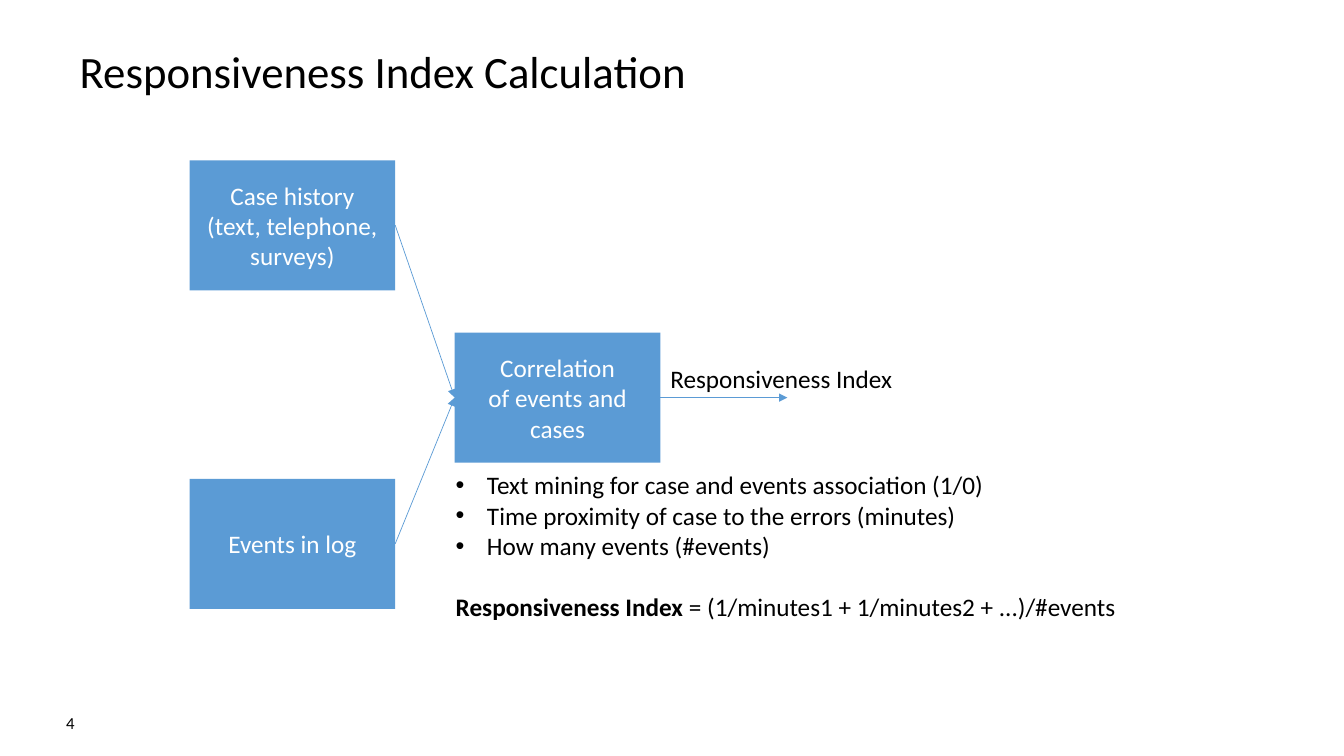
from lxml import etree
from pptx import Presentation
from pptx.dml.color import RGBColor
from pptx.enum.shapes import MSO_CONNECTOR, MSO_SHAPE
from pptx.enum.text import MSO_ANCHOR, MSO_AUTO_SIZE, PP_ALIGN
from pptx.oxml.ns import qn
from pptx.util import Inches, Pt

BLUE = RGBColor(0x5B, 0x9B, 0xD5)
BLACK = RGBColor(0, 0, 0)
WHITE = RGBColor(0xFF, 0xFF, 0xFF)
LEFT, CENTER, RIGHT = PP_ALIGN.LEFT, PP_ALIGN.CENTER, PP_ALIGN.RIGHT
TOP, MIDDLE = MSO_ANCHOR.TOP, MSO_ANCHOR.MIDDLE
NO_FIT = MSO_AUTO_SIZE.NONE
STRAIGHT, RECTANGLE = MSO_CONNECTOR.STRAIGHT, MSO_SHAPE.RECTANGLE
RIGHT_SITE, LEFT_SITE = 3, 1

NODE_SIZE = (2.04, 1.29)
NO_MARGINS = dict.fromkeys(
    ("margin_left", "margin_top", "margin_right", "margin_bottom"), 0)
CRITERIA = ("Text mining for case and events association (1/0)",
            "Time proximity of case to the errors (minutes)",
            "How many events (#events)")
FORMULA = (("Responsiveness Index", True),
           (" = (1/minutes1 + 1/minutes2 + ...)/#events", False))


def apply_format(target, values):
    """Set each named attribute on the target."""
    for name, value in values.items():
        setattr(target, name, value)


def place(shape, box):
    """Move a shape to a box of left, top, width and height in inches."""
    names = ("left", "top", "width", "height")
    apply_format(shape, dict(zip(names, map(Inches, box))))


def write(frame, paragraphs, size=18, color=BLACK, para_format=None, **frame_format):
    """Fill a frame with paragraphs, each a list of (text, bold) spans."""
    apply_format(frame, {"word_wrap": True, "auto_size": NO_FIT,
                         "vertical_anchor": TOP, **frame_format})
    for index, spans in enumerate(paragraphs):
        para = frame.paragraphs[0] if index == 0 else frame.add_paragraph()
        apply_format(para, {"alignment": LEFT, "space_before": Pt(0),
                            **(para_format or {})})
        for text, bold in spans:
            span = para.add_run()
            span.text = text
            apply_format(span.font, {"name": "Calibri", "size": Pt(size), "bold": bold})
            span.font.color.rgb = color


def set_bullet(para, indent, character=None):
    """Give a paragraph a hanging bullet, or none without a character."""
    properties = para._p.get_or_add_pPr()
    properties.set("marL", str(Inches(indent)))
    properties.set("indent", str(-Inches(indent)))
    if character:
        font = etree.SubElement(properties, qn("a:buFont"))
        font.set("typeface", "Arial")
        etree.SubElement(properties, qn("a:buChar")).set("char", character)
    else:
        etree.SubElement(properties, qn("a:buNone"))


def add_title(page, box):
    """Write the heading in the title placeholder."""
    title = page.shapes.title
    place(title, box)
    write(title.text_frame, [[("Responsiveness Index Calculation", False)]], 32,
          para_format={"line_spacing": 0.9}, **NO_MARGINS)


def add_label(page, box, text, size=18, alignment=LEFT, **frame_format):
    """Add a single line of text."""
    label = page.shapes.add_textbox(*map(Inches, box))
    write(label.text_frame, [[(text, False)]], size,
          para_format={"alignment": alignment}, **frame_format)


def add_node(page, left, top, *lines):
    """Add one blue process block."""
    node = page.shapes.add_shape(RECTANGLE, *map(Inches, (left, top, *NODE_SIZE)))
    node.shadow.inherit = False
    node.fill.solid()
    node.fill.fore_color.rgb = BLUE
    node.line.fill.background()
    write(node.text_frame, [[(line, False)] for line in lines], color=WHITE,
          para_format={"alignment": CENTER}, vertical_anchor=MIDDLE)
    return node


def add_arrow(page, source, target=None, length=0):
    """Run an arrow from a block to the next, or freely to its right."""
    start_x = source.left + source.width
    start_y = source.top + source.height // 2
    arrow = page.shapes.add_connector(
        STRAIGHT, start_x, start_y, start_x + Inches(length), start_y)
    arrow.begin_connect(source, RIGHT_SITE)
    if target is not None:
        arrow.end_connect(target, LEFT_SITE)
    arrow.line.color.rgb = BLUE
    arrow.line.width = Pt(0.5)
    etree.SubElement(arrow.line._get_or_add_ln(), qn("a:tailEnd")).set("type", "triangle")
    etree.SubElement(arrow._element.spPr, qn("a:effectLst"))


def add_flow(page, box):
    """Draw two inputs joining in the correlation block, with its output."""
    left, top, width, height = box
    node_width, node_height = NODE_SIZE
    middle_left = left + width - node_width
    correlation = add_node(page, middle_left, top + 1.71,
                           "Correlation", "of events and cases")
    history = add_node(page, left, top, "Case history", "(text, telephone, surveys)")
    events = add_node(page, left, top + height - node_height, "Events in log")
    for source in (history, events):
        add_arrow(page, source, correlation)
    add_arrow(page, correlation, length=1.26)
    add_label(page, (left + width, top + 1.97, 2.43, 0.4), "Responsiveness Index")


def add_criteria(page, box):
    """List the criteria and the formula in the body placeholder."""
    body = page.placeholders[1]
    place(body, box)
    frame = body.text_frame
    write(frame, [[(text, False)] for text in CRITERIA] + [FORMULA])
    *items, formula = frame.paragraphs
    formula.space_before = Pt(22)
    for item in items:
        set_bullet(item, 0.31, "•")
    set_bullet(formula, 0)


def main():
    """Build and save the deck."""
    deck = Presentation()
    deck.slide_width, deck.slide_height = Inches(13.33), Inches(7.5)
    page = deck.slides.add_slide(deck.slide_layouts[1])
    add_title(page, (0.79, 0.49, 11.76, 1.1))
    add_label(page, (0.35, 7.07, 0.39, 0.22), "4", 12, RIGHT, **NO_MARGINS)
    add_flow(page, (1.88, 1.59, 4.67, 4.45))
    add_criteria(page, (4.42, 4.61, 6.81, 1.62))
    deck.save("out.pptx")


main()
